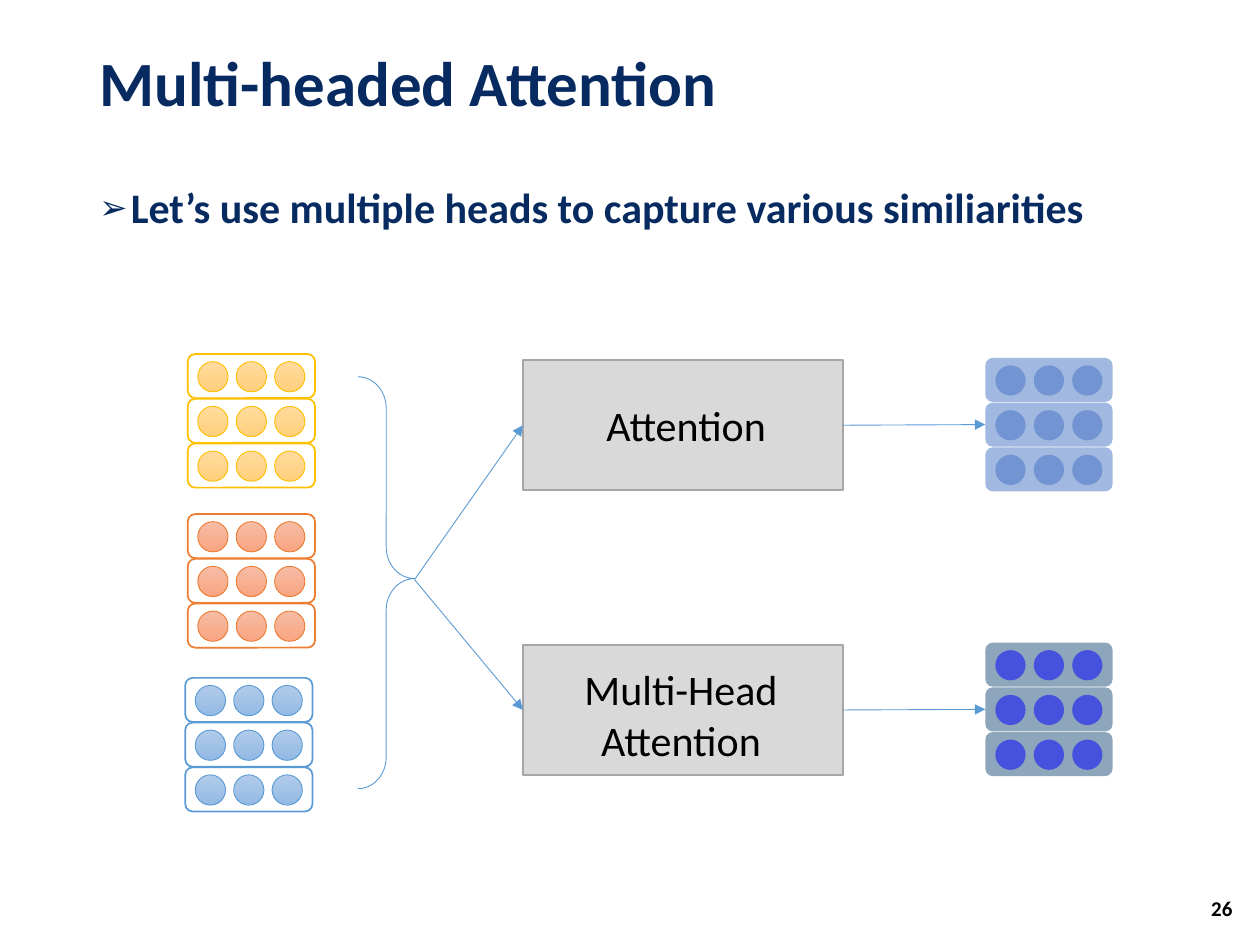
import pptx
import pptx.util
import pptx.dml.color
import pptx.enum.shapes
import pptx.enum.text
import pptx.oxml.ns
import lxml.etree

Inches = pptx.util.Inches
Pt = pptx.util.Pt
RGBColor = pptx.dml.color.RGBColor
Shape = pptx.enum.shapes.MSO_SHAPE
Align = pptx.enum.text.PP_ALIGN
Anchor = pptx.enum.text.MSO_ANCHOR
qn = pptx.oxml.ns.qn

NAVY = RGBColor(0x07, 0x2B, 0x61)
BLACK = RGBColor(0, 0, 0)
WHITE = RGBColor(0xFF, 0xFF, 0xFF)
GREY = RGBColor(0xD9, 0xD9, 0xD9)
EDGE = RGBColor(0xA6, 0xA6, 0xA6)
BLUE = RGBColor(0x5B, 0x9B, 0xD5)
GOLD = RGBColor(0xFF, 0xC0, 0x00)
RUST = RGBColor(0xED, 0x7D, 0x31)
GOLD_FADE = RGBColor(0xFF, 0xDB, 0x9E), RGBColor(0xFF, 0xD0, 0x7C)
RUST_FADE = RGBColor(0xF7, 0xBD, 0xA5), RGBColor(0xF8, 0xA5, 0x82)
BLUE_FADE = RGBColor(0xB1, 0xCB, 0xE9), RGBColor(0x93, 0xB9, 0xE4)
ROYAL = RGBColor(0x44, 0x72, 0xC4)
STEEL = RGBColor(0x1F, 0x4E, 0x79)
PURE = RGBColor(0, 0, 0xFF)


def write(frame, text, size=24, color=BLACK, bold=False, align=Align.LEFT,
          anchor=Anchor.TOP, wrap=True, spacing=None, bullet=None):
    frame.word_wrap = wrap
    frame.vertical_anchor = anchor
    for i, line in enumerate(text.split("\n")):
        para = frame.add_paragraph() if i else frame.paragraphs[0]
        para.alignment = align
        if spacing:
            para.line_spacing = spacing
        if bullet:
            props = para._p.get_or_add_pPr()
            props.set("marL", str(Inches(0.25)))
            props.set("indent", str(-Inches(0.25)))
            for tag, key, value in (("a:buSzPct", "val", "80000"),
                                    ("a:buFont", "typeface", "Calibri"),
                                    ("a:buChar", "char", bullet)):
                lxml.etree.SubElement(props, qn(tag)).set(key, value)
        run = para.add_run()
        run.text = line
        font = run.font
        font.name, font.size, font.bold = "Calibri", Pt(size), bold
        font.color.rgb = color


class Board:
    """Holds the slide and the look shared by its elements."""
    line = BLUE
    thin = 0.5

    def __init__(self, deck):
        self.slide = deck.slides.add_slide(deck.slide_layouts[5])
        self.shapes = self.slide.shapes

    def title(self, text, x, y, w, h, **style):
        box = self.shapes.title
        box.left, box.top, box.width, box.height = map(Inches, (x, y, w, h))
        write(box.text_frame, text, **style)

    def label(self, text, x, y, w, h, home=None, **style):
        box = (home or self.shapes).add_textbox(*map(Inches, (x, y, w, h)))
        write(box.text_frame, text, **style)

    def shape(self, kind, x, y, w, h, fill=None, line=None, width=1,
              alpha=None, home=None):
        """Fill is one colour, a pair for a downward fade, or None."""
        item = (home or self.shapes).add_shape(kind, *map(Inches, (x, y, w, h)))
        item.shadow.inherit = False
        if fill is None:
            item.fill.background()
        elif isinstance(fill, RGBColor):
            item.fill.solid()
            item.fill.fore_color.rgb = fill
        else:
            item.fill.gradient()
            item.fill.gradient_angle = 270
            for stop, color in zip(item.fill.gradient_stops, fill):
                stop.color.rgb = color
        if alpha:
            color = item._element.spPr.find(qn("a:solidFill"))[0]
            lxml.etree.SubElement(color, qn("a:alpha")).set("val", str(alpha * 1000))
        if line is None:
            item.line.fill.background()
        else:
            item.line.color.rgb = line
            item.line.width = Pt(width)
        return item

    def stack(self, x, y, row, dot, line=None, alpha=None):
        """Draw three rows of three dots; return the middle row."""
        home = self.shapes.add_group_shape().shapes
        rows = []
        for i in range(3):
            top = y + i * 0.355
            rows.append(self.shape(Shape.ROUNDED_RECTANGLE, x, top, 1.01, 0.35,
                                   row, line, 1, alpha, home))
            for j in range(3):
                self.shape(Shape.OVAL, x + 0.08 + j * 0.305, top + 0.06,
                           0.24, 0.24, dot, line, self.thin, alpha, home)
        return rows[1]

    def block(self, text, y, spot):
        """Draw a grey box with a label placed at spot."""
        home = self.shapes.add_group_shape().shapes
        box = self.shape(Shape.RECTANGLE, 4.15, y, 2.54, 1.03, GREY, EDGE, home=home)
        self.label(text, *spot, home=home, align=Align.CENTER, wrap=False)
        return box

    def arrow(self, end, begin=None, start=(0, 0)):
        """Run from a box's right side, or a start point, to a left side."""
        x, y = map(Inches, start)
        link = self.shapes.add_connector(
            pptx.enum.shapes.MSO_CONNECTOR.STRAIGHT, x, y, x, y)
        if begin is not None:
            link.begin_connect(begin, 3)
        link.end_connect(end, 1)
        link.line.color.rgb = self.line
        link.line.width = Pt(self.thin)
        tail = lxml.etree.SubElement(link.line._get_or_add_ln(), qn("a:tailEnd"))
        tail.set("type", "triangle")
        lxml.etree.SubElement(link._element.spPr, qn("a:effectLst"))


def main():
    deck = pptx.Presentation()
    deck.slide_width, deck.slide_height = Inches(10), Inches(7.5)
    board = Board(deck)
    board.title("Multi-headed Attention", 0.69, 0.18, 8.62, 1.01, size=36,
                color=NAVY, bold=True, anchor=Anchor.MIDDLE, spacing=0.9)
    board.label("Let’s use multiple heads to capture various similiarities",
                0.69, 1.44, 8.62, 5.44, color=NAVY, bold=True, spacing=0.9,
                bullet="➢")
    board.label("26", 9.36, 7.01, 0.52, 0.4, size=12, bold=True,
                align=Align.RIGHT, anchor=Anchor.MIDDLE)

    for x, y, line, fade in ((1.49, 2.81, GOLD, GOLD_FADE),
                             (1.49, 4.08, RUST, RUST_FADE),
                             (1.47, 5.38, BLUE, BLUE_FADE)):
        board.stack(x, y, WHITE, fade, line)

    brace = board.shape(Shape.RIGHT_BRACE, 2.84, 2.99, 0.45, 3.27,
                        line=BLUE, width=board.thin)
    brace.adjustments[0] = 0.556
    brace.adjustments[1] = 0.49

    for text, y, spot, top, row, dot in (
            ("Attention", 2.86, (4.7, 3.12, 1.49, 0.5), 2.84, ROYAL, ROYAL),
            ("Multi-Head\nAttention", 5.12, (4.53, 5.22, 1.75, 0.91), 5.1,
             STEEL, PURE)):
        box = board.block(text, y, spot)
        out = board.stack(7.82, top, row, dot, alpha=50)
        board.arrow(box, start=(3.29, 4.6))
        board.arrow(out, begin=box)

    deck.save("out.pptx")


if __name__ == "__main__":
    main()
